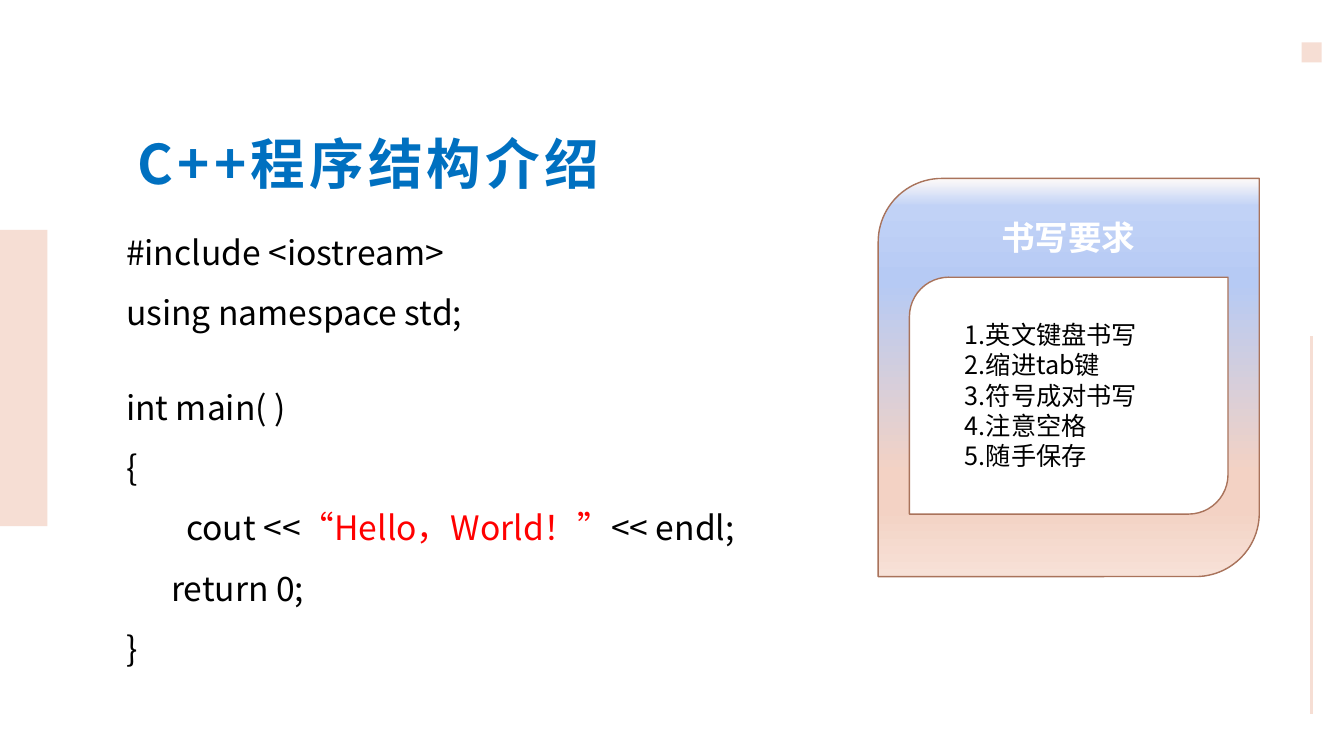
from dataclasses import dataclass

from lxml.etree import SubElement
from pptx import Presentation
from pptx.dml.color import RGBColor
from pptx.enum.shapes import MSO_CONNECTOR, MSO_SHAPE
from pptx.enum.text import MSO_ANCHOR, MSO_AUTO_SIZE, PP_ALIGN
from pptx.oxml.ns import qn
from pptx.shapes.autoshape import Shape
from pptx.slide import Slide
from pptx.text.text import _Paragraph as Paragraph
from pptx.util import Inches, Pt

FONT_NAME = "Noto Sans CJK SC"
PEACH = RGBColor(0xF6, 0xDE, 0xD4)
BROWN = RGBColor(0xA9, 0x73, 0x5B)
BLUE = RGBColor(0x00, 0x70, 0xC0)
RED = RGBColor(0xFF, 0x00, 0x00)
BLACK = RGBColor(0x00, 0x00, 0x00)
WHITE = RGBColor(0xFF, 0xFF, 0xFF)

CARD_GRADIENT = [
    (0, RGBColor(0xFE, 0xFA, 0xF8)),
    (7, RGBColor(0xC1, 0xD2, 0xF6)),
    (26, RGBColor(0xB6, 0xCA, 0xF4)),
    (74, RGBColor(0xF3, 0xD2, 0xC4)),
    (83, RGBColor(0xF3, 0xD2, 0xC4)),
    (100, RGBColor(0xF7, 0xE1, 0xD7)),
]
CODE_LINES = [
    "#include <iostream>",
    "using namespace std;",
    "int main( )",
    "{",
    "        cout <<",
    "      return 0;",
    "}",
]
OUTPUT_LINE = 4
REQUIREMENTS = ["英文键盘书写", "缩进tab键", "符号成对书写", "注意空格", "随手保存"]


@dataclass
class Box:
    left: float
    top: float
    width: float
    height: float


@dataclass
class Panel:
    box: Box
    preset: MSO_SHAPE
    fill: RGBColor
    line: RGBColor | None = None


@dataclass
class TextStyle:
    size: float
    color: RGBColor = BLACK
    bold: bool = False
    alignment: PP_ALIGN = PP_ALIGN.LEFT
    line_spacing: float = 1.0


SIDE_BLOCKS = [
    Panel(Box(0, 2.28, 0.47, 2.94), MSO_SHAPE.RECTANGLE, PEACH),
    Panel(Box(12.91, 0.42, 0.2, 0.2), MSO_SHAPE.RECTANGLE, PEACH),
]
CARD = Panel(Box(8.71, 1.77, 3.78, 3.95), MSO_SHAPE.ROUND_2_DIAG_RECTANGLE, PEACH, BROWN)
CARD_INSIDE = Panel(Box(9.02, 2.75, 3.16, 2.35), MSO_SHAPE.ROUND_2_DIAG_RECTANGLE, WHITE, BROWN)

TITLE_STYLE = TextStyle(39, BLUE, True, PP_ALIGN.CENTER)
CODE_STYLE = TextStyle(24, line_spacing=1.5)
CARD_TITLE_STYLE = TextStyle(24, WHITE, True, PP_ALIGN.CENTER)
LIST_STYLE = TextStyle(18)


def place(shape: Shape, box: Box) -> None:
    shape.left, shape.top = Inches(box.left), Inches(box.top)
    shape.width, shape.height = Inches(box.width), Inches(box.height)


def add_panel(slide: Slide, panel: Panel) -> Shape:
    box = panel.box
    shape = slide.shapes.add_shape(
        panel.preset, Inches(box.left), Inches(box.top), Inches(box.width), Inches(box.height)
    )
    shape.shadow.inherit = False
    shape.fill.solid()
    shape.fill.fore_color.rgb = panel.fill
    if panel.line is None:
        shape.line.fill.background()
    else:
        shape.line.color.rgb = panel.line
        shape.line.width = Pt(1)
    return shape


def set_gradient(shape: Shape, stops: list[tuple[int, RGBColor]]) -> None:
    shape.fill.gradient()
    shape.fill.gradient_angle = 270
    stop_list = shape.element.spPr.find(qn("a:gradFill")).find(qn("a:gsLst"))
    for old_stop in list(stop_list):
        stop_list.remove(old_stop)
    for percent, color in stops:
        stop = SubElement(stop_list, qn("a:gs"), pos=str(percent * 1000))
        SubElement(stop, qn("a:srgbClr"), val=str(color))


def format_paragraph(paragraph: Paragraph, style: TextStyle) -> None:
    properties = paragraph._p.get_or_add_pPr()
    properties.set("marL", "0")
    properties.set("indent", "0")
    SubElement(properties, qn("a:buNone"))
    paragraph.alignment = style.alignment
    paragraph.line_spacing = style.line_spacing
    paragraph.space_before = Pt(0)
    for run in paragraph.runs:
        run.font.name = FONT_NAME
        run.font.size = Pt(style.size)
        run.font.bold = style.bold
        run.font.color.rgb = style.color
        SubElement(run._r.get_or_add_rPr(), qn("a:ea"), typeface=FONT_NAME)


def write_text(shape: Shape, box: Box, lines: list[str], style: TextStyle) -> None:
    place(shape, box)
    text_frame = shape.text_frame
    text_frame.text = "\n".join(lines)
    text_frame.word_wrap = True
    text_frame.auto_size = MSO_AUTO_SIZE.NONE
    text_frame.vertical_anchor = MSO_ANCHOR.TOP
    for paragraph in text_frame.paragraphs:
        format_paragraph(paragraph, style)


def add_side_decoration(slide: Slide) -> None:
    for block in SIDE_BLOCKS:
        add_panel(slide, block)
    rule = slide.shapes.add_connector(
        MSO_CONNECTOR.STRAIGHT, Inches(13.01), Inches(7.08), Inches(13.01), Inches(3.33)
    )
    rule.line.color.rgb = PEACH
    rule.line.width = Pt(2.25)
    SubElement(rule.element.spPr, qn("a:effectLst"))


def write_title(slide: Slide) -> None:
    title = slide.shapes.title
    write_text(title, Box(1.15, 1.24, 5.01, 0.76), ["C++程序结构介绍"], TITLE_STYLE)
    title.text_frame.word_wrap = False
    for run in title.text_frame.paragraphs[0].runs:
        run._r.get_or_add_rPr().set("spc", "300")


def write_code(code: Shape) -> None:
    write_text(code, Box(1.15, 2.05, 6.69, 4.68), CODE_LINES, CODE_STYLE)
    paragraphs = code.text_frame.paragraphs
    paragraphs[1].space_after = Pt(24)
    # The string literal stands out in red
    output = paragraphs[OUTPUT_LINE]
    for text in ("“Hello，World！”", "<< endl;"):
        output.add_run().text = text
    format_paragraph(output, CODE_STYLE)
    output.runs[1].font.color.rgb = RED


def add_requirements_card(slide: Slide, requirement_list: Shape) -> None:
    set_gradient(add_panel(slide, CARD), CARD_GRADIENT)
    heading = slide.shapes.add_textbox(0, 0, 0, 0)
    write_text(heading, Box(9.44, 2.1, 2.31, 0.5), ["书写要求"], CARD_TITLE_STYLE)
    add_panel(slide, CARD_INSIDE)
    lines = [f"{number}.{text}" for number, text in enumerate(REQUIREMENTS, start=1)]
    write_text(requirement_list, Box(9.47, 3.12, 2.7, 1.61), lines, LIST_STYLE)
    # Bring the list in front of the card
    slide.shapes.element.append(requirement_list.element)


def main() -> None:
    presentation = Presentation()
    presentation.slide_width = Inches(13.33)
    presentation.slide_height = Inches(7.5)
    two_content_layout = presentation.slide_layouts[3]
    slide = presentation.slides.add_slide(two_content_layout)

    add_side_decoration(slide)
    write_title(slide)
    write_code(slide.placeholders[1])
    add_requirements_card(slide, slide.placeholders[2])

    presentation.save("out.pptx")


if __name__ == "__main__":
    main()
